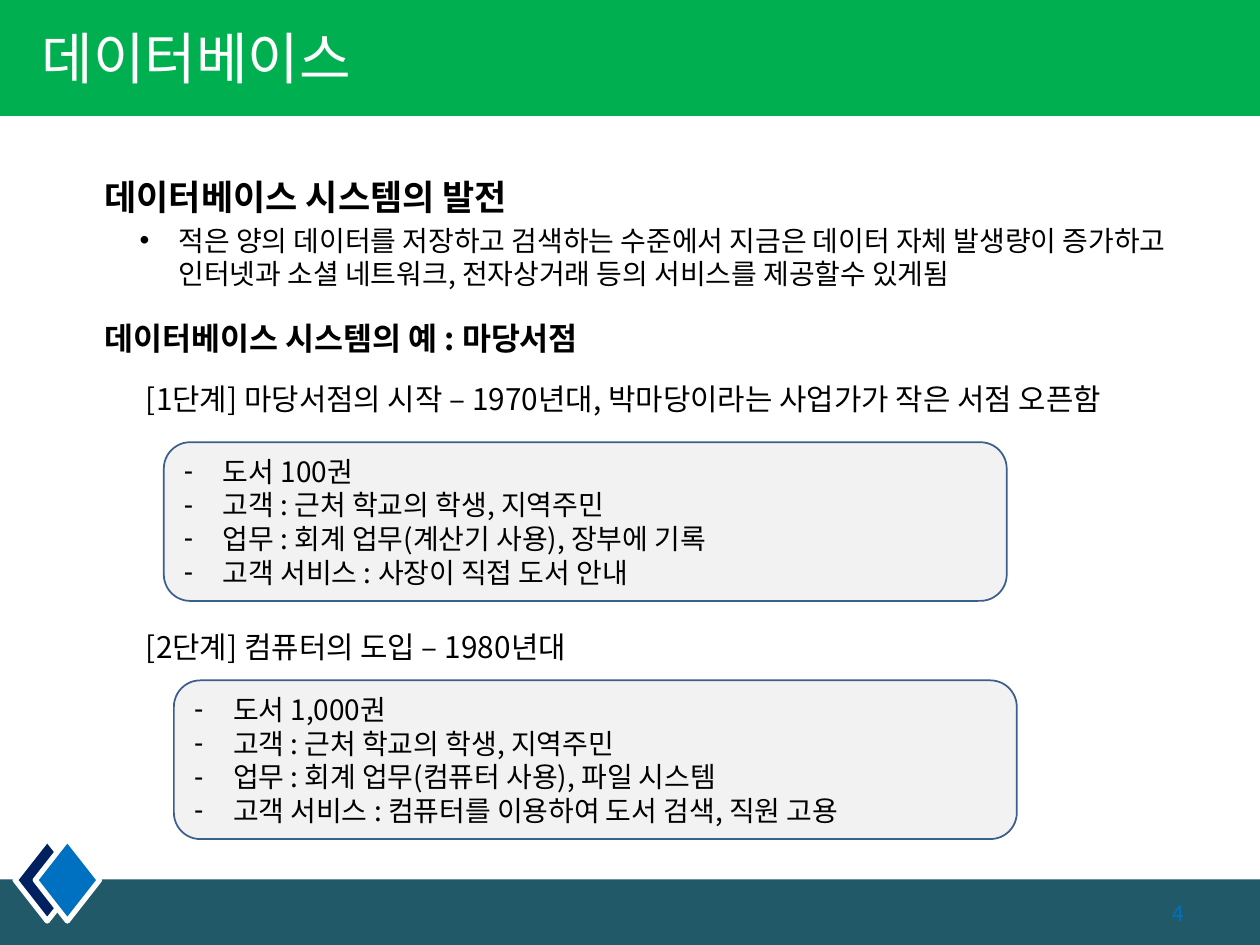
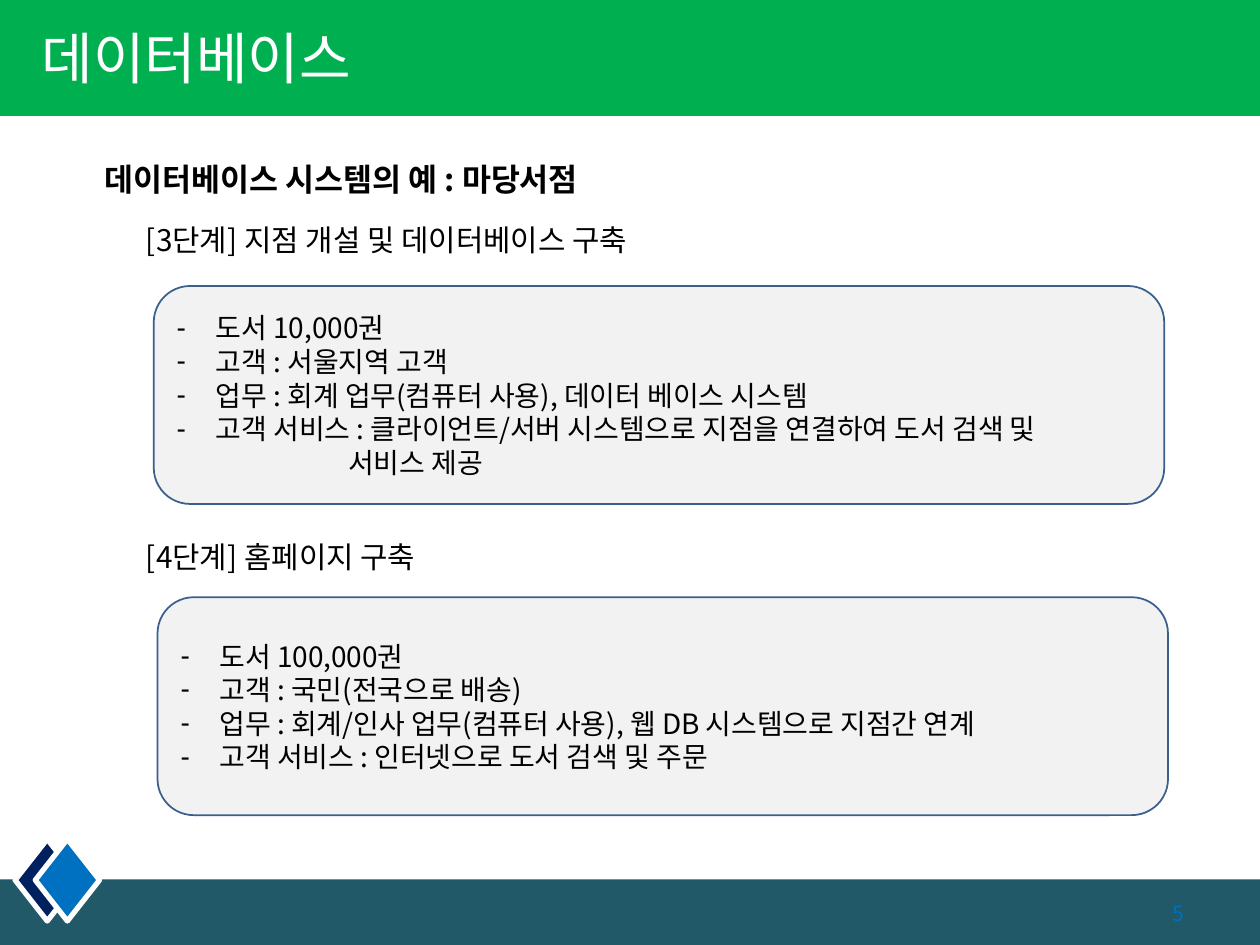
from dataclasses import dataclass

from lxml.etree import SubElement
from pptx import Presentation
from pptx.dml.color import RGBColor
from pptx.enum.shapes import MSO_SHAPE as Preset
from pptx.enum.text import MSO_ANCHOR as Anchor, PP_ALIGN as Align
from pptx.oxml.ns import qn
from pptx.util import Emu, Inches, Pt

# Shared style: a grid of 100 columns by 75 rows
SLIDE_WIDTH, SLIDE_HEIGHT = Inches(10), Inches(7.5)
COLUMNS, ROWS = 100, 75
FONT = "Noto Sans CJK KR"
BLACK, WHITE, GREEN, TEAL = "000000", "FFFFFF", "00B050", "215968"
NAVY, BLUE, PALE_GREY, BOX_LINE = "002060", "0070C0", "F2F2F2", "3A5F8C"
TITLE = "데이터베이스"
EXAMPLE_HEADING = "데이터베이스 시스템의 예 : 마당서점"
HANGING = 0.31
TITLE_ONLY = 5


@dataclass(frozen=True)
class Area:
    """Left, top, width and height in grid columns and rows."""
    left: float
    top: float
    width: float
    height: float

    def lengths(self) -> tuple[Emu, Emu, Emu, Emu]:
        column, row = SLIDE_WIDTH / COLUMNS, SLIDE_HEIGHT / ROWS
        return (Emu(round(self.left * column)), Emu(round(self.top * row)),
                Emu(round(self.width * column)), Emu(round(self.height * row)))


@dataclass(frozen=True)
class Stage:
    label: str
    label_top: float
    box: Area
    items: tuple[str, ...]
    continuation: str = ""


@dataclass(frozen=True)
class Page:
    number: int
    example_top: float
    stages: tuple[Stage, ...]
    heading: str = ""
    summary: str = ""


PAGES = (
    Page(
        4, 23.3,
        (
            Stage("[1단계] 마당서점의 시작 – 1970년대, 박마당이라는 사업가가 작은 서점 오픈함",
                  29.7, Area(13, 35.1, 66.9, 12.6),
                  ("도서 100권",
                   "고객 : 근처 학교의 학생, 지역주민",
                   "업무 : 회계 업무(계산기 사용), 장부에 기록",
                   "고객 서비스 : 사장이 직접 도서 안내")),
            Stage("[2단계] 컴퓨터의 도입 – 1980년대",
                  49.4, Area(13.8, 54, 66.9, 12.6),
                  ("도서 1,000권",
                   "고객 : 근처 학교의 학생, 지역주민",
                   "업무 : 회계 업무(컴퓨터 사용), 파일 시스템",
                   "고객 서비스 : 컴퓨터를 이용하여 도서 검색, 직원 고용")),
        ),
        heading="데이터베이스 시스템의 발전",
        summary="적은 양의 데이터를 저장하고 검색하는 수준에서 지금은 데이터 자체 발생량이 증가하고 "
                "인터넷과 소셜 네트워크, 전자상거래 등의 서비스를 제공할수 있게됨",
    ),
    Page(
        5, 10.7,
        (
            Stage("[3단계] 지점 개설 및 데이터베이스 구축",
                  17.1, Area(12.2, 22.7, 80.2, 17.3),
                  ("도서 10,000권",
                   "고객 : 서울지역 고객",
                   "업무 : 회계 업무(컴퓨터 사용), 데이터 베이스 시스템",
                   "고객 서비스 : 클라이언트/서버 시스템으로 지점을 연결하여 도서 검색 및"),
                  continuation="서비스 제공"),
            Stage("[4단계] 홈페이지 구축",
                  42.3, Area(12.5, 47.4, 80.2, 17.3),
                  ("도서 100,000권",
                   "고객 : 국민(전국으로 배송)",
                   "업무 : 회계/인사 업무(컴퓨터 사용), 웹 DB 시스템으로 지점간 연계",
                   "고객 서비스 : 인터넷으로 도서 검색 및 주문")),
        ),
    ),
)


def color(value: str) -> RGBColor:
    return RGBColor.from_string(value)


def write(frame, text: str, *, size: float, bold: bool = False, ink: str = BLACK,
          align=Align.LEFT, indent: float = 0, bullet: str = "",
          spacing: float = 1, before: float = 0) -> None:
    """Add one formatted paragraph, using the first one while it is empty."""
    first = frame.paragraphs[0]
    paragraph = first if not first.runs else frame.add_paragraph()
    paragraph.alignment = align
    paragraph.line_spacing = spacing
    paragraph.space_before = Pt(before)
    properties = paragraph._p.get_or_add_pPr()
    properties.set("marL", str(Inches(indent)))
    properties.set("indent", str(-Inches(HANGING) if bullet else 0))
    if bullet:
        SubElement(properties, qn("a:buFont"), typeface="Arial")
        SubElement(properties, qn("a:buChar"), char=bullet)
    run = paragraph.add_run()
    run.text = text
    run.font.size, run.font.bold = Pt(size), bold
    run.font.name = FONT
    run.font.color.rgb = color(ink)
    SubElement(run._r.get_or_add_rPr(), qn("a:ea"), typeface=FONT)


def add_preset(slide, preset, area: Area, fill: str, line: str = "", line_width: float = 1):
    shape = slide.shapes.add_shape(preset, *area.lengths())
    shape.shadow.inherit = False
    shape.fill.solid()
    shape.fill.fore_color.rgb = color(fill)
    if line:
        shape.line.color.rgb = color(line)
        shape.line.width = Pt(line_width)
    else:
        shape.line.fill.background()
    return shape


def add_text_frame(slide, area: Area):
    frame = slide.shapes.add_textbox(*area.lengths()).text_frame
    frame.word_wrap = True
    return frame


def add_frame(slide, number: int) -> None:
    # Bands and the pair of diamonds
    add_preset(slide, Preset.RECTANGLE, Area(0, 69.8, COLUMNS, 5.2), TEAL)
    for left, fill in ((1.2, NAVY), (2.8, BLUE)):
        add_preset(slide, Preset.DIAMOND, Area(left, 66.6, 5.1, 6.5), fill, WHITE, 3)
    add_preset(slide, Preset.RECTANGLE, Area(0, 0, COLUMNS, 9.2), GREEN)

    # Title, raised above its band
    title = slide.shapes.title
    title.left, title.top, title.width, title.height = Area(0, -0.2, 79.9, 9.4).lengths()
    title.text_frame.vertical_anchor = Anchor.MIDDLE
    write(title.text_frame, TITLE, size=32, ink=WHITE, indent=0.23)
    title.element.getparent().append(title.element)

    # Page number
    frame = add_text_frame(slide, Area(85, 70.5, 10, 4))
    frame.vertical_anchor = Anchor.MIDDLE
    write(frame, str(number), size=12, ink=BLUE, align=Align.RIGHT)


def add_stage(slide, stage: Stage) -> None:
    write(add_text_frame(slide, Area(10.6, stage.label_top, 86.1, 3.9)), stage.label, size=17)
    box = add_preset(slide, Preset.ROUNDED_RECTANGLE, stage.box, PALE_GREY, BOX_LINE)
    frame = box.text_frame
    frame.word_wrap = True
    frame.vertical_anchor = Anchor.MIDDLE
    for item in stage.items:
        write(frame, item, size=16, indent=HANGING, bullet="-")
    if stage.continuation:
        write(frame, stage.continuation, size=16, indent=1.36)


def add_page(presentation, page: Page) -> None:
    slide = presentation.slides.add_slide(presentation.slide_layouts[TITLE_ONLY])
    add_frame(slide, page.number)
    if page.heading:
        frame = add_text_frame(slide, Area(5.1, 11.8, 93.7, 15.7))
        write(frame, page.heading, size=20, bold=True, indent=0.22, spacing=1.5, before=4)
        write(frame, page.summary, size=16, indent=0.81, bullet="•", before=3.2)
    frame = add_text_frame(slide, Area(5.1, page.example_top, 52.8, 6.3))
    write(frame, EXAMPLE_HEADING, size=18, bold=True, indent=0.22, spacing=1.5, before=4)
    for stage in page.stages:
        add_stage(slide, stage)


def main() -> None:
    presentation = Presentation()
    presentation.slide_width, presentation.slide_height = SLIDE_WIDTH, SLIDE_HEIGHT
    for page in PAGES:
        add_page(presentation, page)
    presentation.save("out.pptx")


if __name__ == "__main__":
    main()
